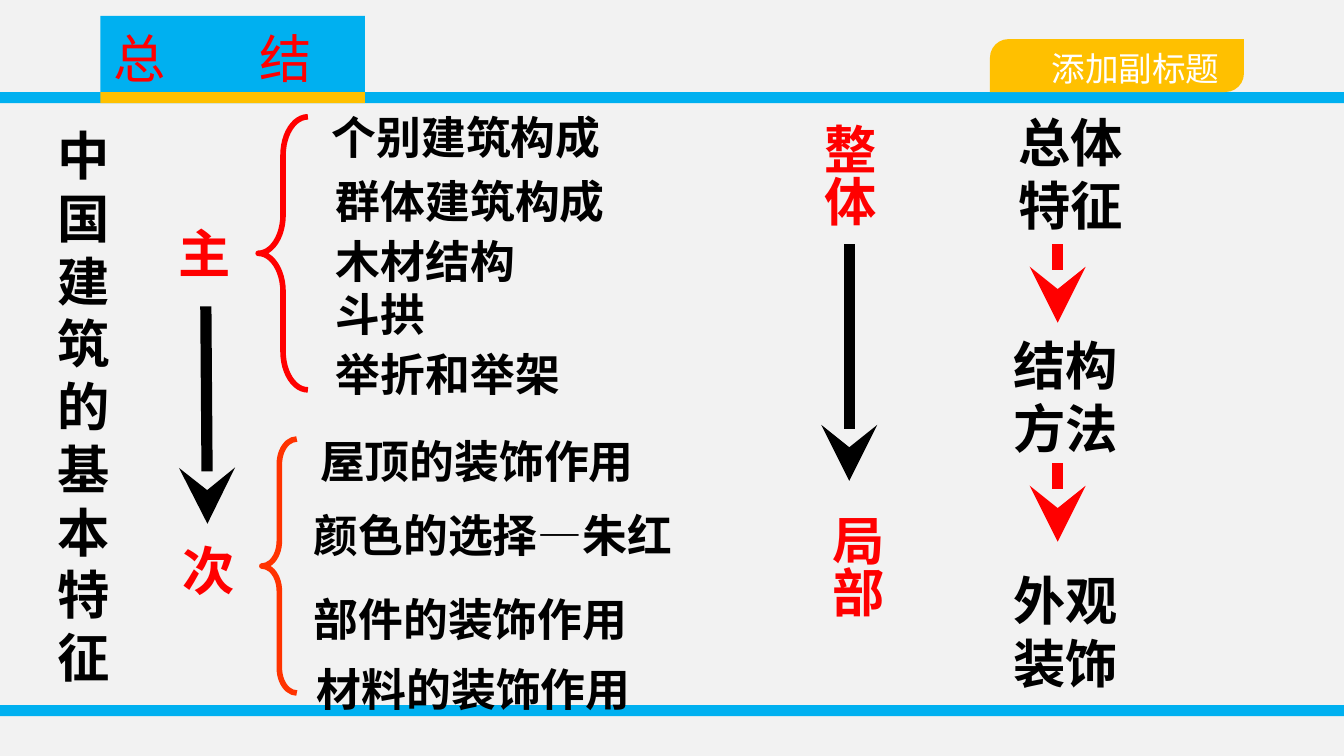
import dataclasses

import pptx
import pptx.dml.color
import pptx.enum.shapes
import pptx.enum.text
import pptx.oxml
import pptx.oxml.ns
import pptx.util

Cm = pptx.util.Cm
Pt = pptx.util.Pt
SHAPES = pptx.enum.shapes.MSO_SHAPE
ANCHORS = pptx.enum.text.MSO_ANCHOR
ALIGNS = pptx.enum.text.PP_ALIGN


@dataclasses.dataclass(frozen=True)
class Theme:
    page: str = "F2F2F2"
    blue: str = "00B0F0"
    gold: str = "FFC000"
    red: str = "FF0000"
    orange: str = "FF3300"
    black: str = "000000"
    white: str = "FFFFFF"
    large: int = 28
    medium: int = 24
    small: int = 18
    serif: str = "Times New Roman"
    sans: str = "Calibri"
    heading: str = "Arial"
    chinese: str = "Noto Sans CJK SC"


class SlideBuilder:
    def __init__(self, page, theme):
        self.page = page
        self.theme = theme
        page.background.fill.solid()
        page.background.fill.fore_color.rgb = self.color(theme.page)

    def color(self, value):
        return pptx.dml.color.RGBColor.from_string(value)

    def element(self, tag, attributes=""):
        namespace = pptx.oxml.ns.nsdecls("a")
        return pptx.oxml.parse_xml(f"<a:{tag} {namespace} {attributes}/>")

    def block(self, left, top, width, height, fill, kind=SHAPES.RECTANGLE):
        shape = self.page.shapes.add_shape(
            kind, Cm(left), Cm(top), Cm(width), Cm(height))
        shape.shadow.inherit = False
        shape.fill.solid()
        shape.fill.fore_color.rgb = self.color(fill)
        shape.line.fill.background()
        return shape

    def brace(self, left, top, width, height, curve, color):
        shape = self.page.shapes.add_shape(
            SHAPES.LEFT_BRACE, Cm(left), Cm(top), Cm(width), Cm(height))
        shape.shadow.inherit = False
        shape.adjustments[0] = curve
        shape.adjustments[1] = 0.5
        shape.fill.background()
        shape.line.color.rgb = self.color(color)
        shape.line.width = Pt(3)

    def arrow(self, start_x, start_y, end_x, end_y, color):
        line = self.page.shapes.add_connector(
            pptx.enum.shapes.MSO_CONNECTOR.STRAIGHT,
            Cm(start_x), Cm(start_y), Cm(end_x), Cm(end_y))
        line.line.color.rgb = self.color(color)
        line.line.width = Pt(6)
        line.line._get_or_add_ln().append(
            self.element("tailEnd", 'type="stealth" w="lg" len="lg"'))
        line._element.spPr.append(self.element("effectLst"))

    def span(self, para, text, size, font, color, bold):
        span = para.add_run()
        span.text = text
        span.font.size = Pt(size)
        span.font.name = font
        span.font.bold = bold
        span.font.color.rgb = self.color(color)
        span.font._element.append(
            self.element("ea", f'typeface="{self.theme.chinese}"'))

    def fill_text(self, shape, lines, size, font, color, bold=True,
                  align=ALIGNS.LEFT, anchor=ANCHORS.TOP, inset=None):
        frame = shape.text_frame
        frame.word_wrap = True
        frame.vertical_anchor = anchor
        frame.margin_left = frame.margin_right = Cm(0.25)
        frame.margin_bottom = Cm(0.13)
        frame.margin_top = Cm(0.13) + Pt(0.13 * size) if inset is None else Cm(inset)
        for index, line in enumerate(lines):
            para = frame.add_paragraph() if index else frame.paragraphs[0]
            para.alignment = align
            para.line_spacing = Pt(1.2 * size)
            for part in [line] if isinstance(line, str) else line:
                is_dash = part == "—"
                self.span(para, part, size, self.theme.chinese if is_dash else font,
                          color, bold and not is_dash)

    def label(self, left, top, width, height, lines, size, font, color):
        box = self.page.shapes.add_textbox(
            Cm(left), Cm(top), Cm(width), Cm(height))
        self.fill_text(box, lines, size, font, color)

    def vertical_label(self, left, top, height, text):
        box = self.page.shapes.add_textbox(
            Cm(left), Cm(top), Cm(1.7), Cm(height))
        self.fill_text(box, [text], self.theme.large, self.theme.sans,
                       self.theme.red, inset=0.13)
        box.text_frame._txBody.bodyPr.set("vert", "eaVert")

    def heading(self, left, top, width, height, words):
        shape = self.block(left, top, width, height, self.theme.blue)
        self.fill_text(shape, ["\t".join(words)], self.theme.large,
                       self.theme.heading, self.theme.red, bold=False,
                       anchor=ANCHORS.MIDDLE)
        stops = self.element("tabLst")
        stops.append(self.element("tab", f'pos="{int(Cm(2.75))}" algn="l"'))
        properties = shape.text_frame.paragraphs[0]._p.get_or_add_pPr()
        properties.append(stops)

    def subtitle(self, left, top, width, height, text):
        shape = self.block(left, top, width, height, self.theme.gold,
                           SHAPES.ROUND_2_DIAG_RECTANGLE)
        shape.adjustments[0] = 0.35
        self.fill_text(shape, [text], self.theme.small, self.theme.heading,
                       self.theme.white, bold=False, align=ALIGNS.RIGHT, inset=0.06)
        shape.text_frame.margin_right = Cm(0.36)


def main():
    theme = Theme()
    deck = pptx.Presentation()
    deck.slide_width = Cm(25.4)
    deck.slide_height = Cm(14.29)
    builder = SlideBuilder(deck.slides.add_slide(deck.slide_layouts[6]), theme)

    for top in (13.33, 1.74):
        builder.block(0, top, 25.4, 0.21, theme.blue)
    builder.block(1.9, 1.74, 5, 0.21, theme.gold)
    builder.heading(1.9, 0.3, 5, 1.44, ["总", "结"])
    builder.subtitle(18.71, 0.74, 4.8, 1, "添加副标题")

    builder.label(0.84, 2.08, 2.11, 11.02, ["中国建筑的基本特征"],
                  theme.large, theme.serif, theme.black)

    details = [
        (6.02, 1.83, "个别建筑构成"),
        (6.1, 3.05, "群体建筑构成"),
        (6.1, 4.17, "木材结构"),
        (6.1, 5.18, "斗拱"),
        (6.1, 6.32, "举折和举架"),
        (5.8, 7.95, "屋顶的装饰作用"),
        (5.68, 9.35, ("颜色的选择", "—", "朱红")),
        (5.68, 10.95, "部件的装饰作用"),
        (5.74, 12.27, "材料的装饰作用"),
    ]
    for left, top, text in details:
        builder.label(left, top, 7.9, 1.27, [text],
                      theme.medium, theme.serif, theme.black)

    stages = [
        (19, 1.83, theme.sans, ["总体", "特征"]),
        (18.9, 6.05, theme.sans, ["结构", "方法"]),
        (18.9, 10.49, theme.serif, ["外观", "装饰"]),
    ]
    for left, top, font, lines in stages:
        builder.label(left, top, 2.8, 2.62, lines, theme.large, font, theme.black)

    for left, top, height, text in [
        (2.97, 4.17, 1.27, "主"),
        (3.05, 10.16, 2, "次"),
        (15.19, 2.21, 2.69, "整体"),
        (15.34, 9.6, 2.54, "局部"),
    ]:
        builder.vertical_label(left, top, height, text)

    for top in (4.62, 8.76):
        builder.arrow(19.99, top, 19.99, top + 1.48, theme.red)
    builder.arrow(16.05, 4.62, 16.05, 9.09, theme.black)
    builder.arrow(3.89, 5.79, 3.92, 9.9, theme.black)

    builder.brace(4.95, 8.3, 0.66, 4.8, 0.72, theme.orange)
    builder.brace(4.88, 2.21, 0.94, 5.16, 0.77, theme.red)

    deck.save("out.pptx")


if __name__ == "__main__":
    main()
